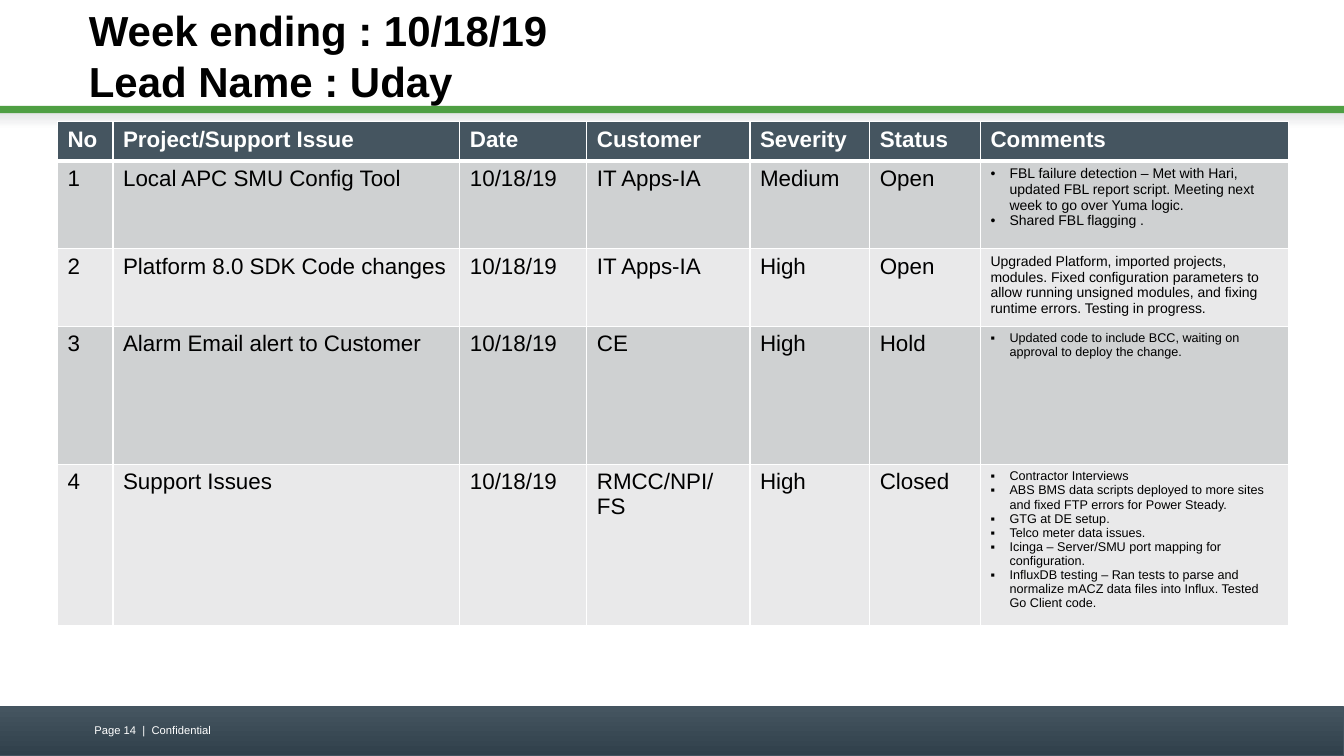
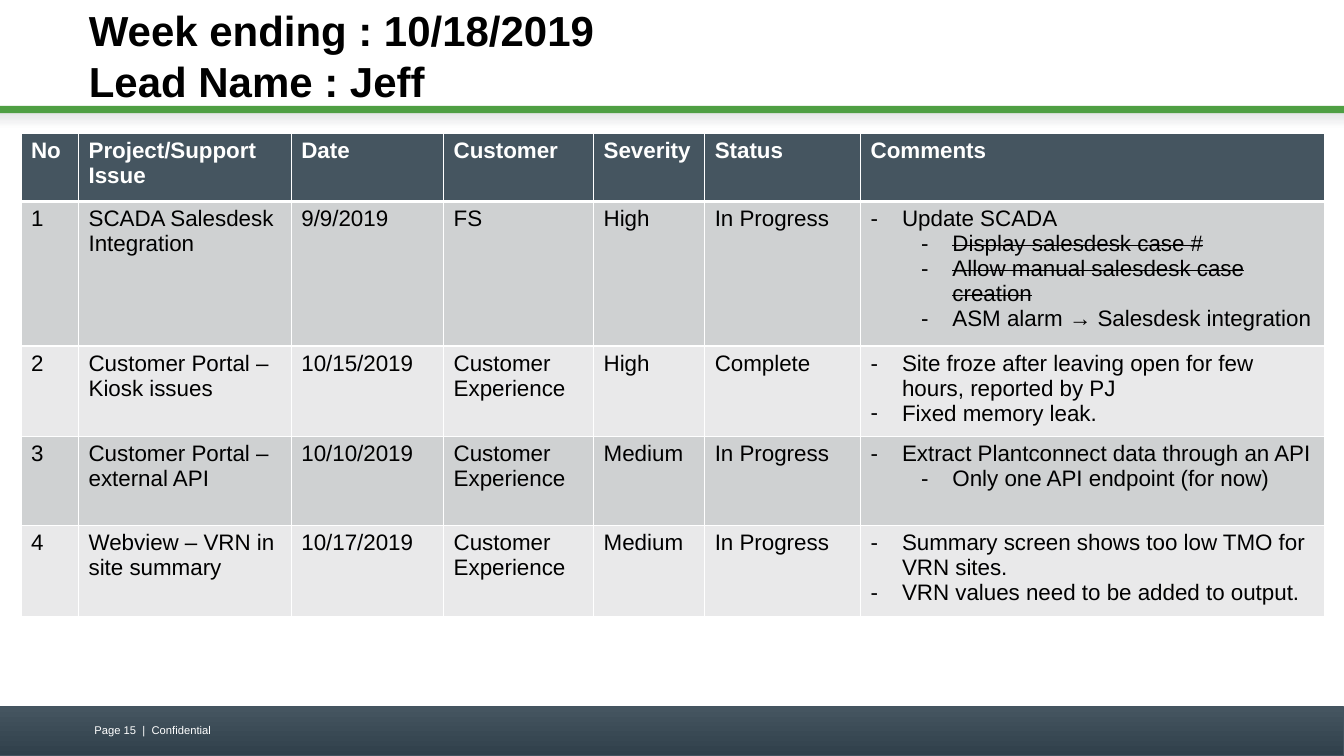
"""Builds two weekly status slides, each with a table of issues."""
import pptx
import pptx.chart.data
import pptx.dml.color
import pptx.enum.shapes
import pptx.enum.text
import pptx.oxml
import pptx.oxml.ns
import pptx.util
from lxml import etree

Cm, Pt = pptx.util.Cm, pptx.util.Pt
RGBColor = pptx.dml.color.RGBColor

WHITE = RGBColor(0xFF, 0xFF, 0xFF)
BLACK = RGBColor(0x00, 0x00, 0x00)
SLATE = RGBColor(0x45, 0x55, 0x60)
DARK = RGBColor(0x30, 0x40, 0x4B)
EDGE = RGBColor(0x43, 0x53, 0x5F)
GREEN = RGBColor(0x4F, 0x9F, 0x43)
SHADE = RGBColor(0xE4, 0xE5, 0xE6)
STRIPES = RGBColor(0xCF, 0xD1, 0xD2), RGBColor(0xE9, 0xE9, 0xEA)

FONT = "Arial"
WIDTH, HEIGHT = 33.87, 19.05
BODY = 16
HEADS = ["No", "Project/Support Issue", "Date", "Customer", "Severity",
         "Status", "Comments"]
STRUCK = {"Display salesdesk case #", "Allow manual salesdesk case creation"}

SLIDES = [
    {
        "title": "Week ending : 10/18/19\nLead Name : Uday",
        "page": 14,
        "at": (1.45, 3.07),
        "cols": [1.4, 8.74, 3.2, 4.11, 3.02, 2.79, 7.77],
        "rows": [0.99, 2.21, 1.91, 3.48, 3.48],
        "step": 0.48,
        "issues": [
            ("Local APC SMU Config Tool", "10/18/19", "IT Apps-IA", "Medium",
             "Open", "•", 10, [
                 (0, "FBL failure detection – Met with Hari, updated FBL "
                     "report script. Meeting next week to go over Yuma logic."),
                 (0, "Shared FBL flagging .")]),
            ("Platform 8.0 SDK Code changes", "10/18/19", "IT Apps-IA", "High",
             "Open", "", 10, [
                 (0, "Upgraded Platform, imported projects, modules. Fixed "
                     "configuration parameters to allow running unsigned "
                     "modules, and fixing runtime errors. Testing in "
                     "progress.")]),
            ("Alarm Email alert to Customer", "10/18/19", "CE", "High",
             "Hold", "▪", 9, [
                 (0, "Updated code to include BCC, waiting on approval to "
                     "deploy the change.")]),
            ("Support Issues", "10/18/19", "RMCC/NPI/FS", "High",
             "Closed", "▪", 9, [
                 (0, "Contractor Interviews"),
                 (0, "ABS BMS data scripts deployed to more sites and fixed "
                     "FTP errors for Power Steady."),
                 (0, "GTG at DE setup."),
                 (0, "Telco meter data issues."),
                 (0, "Icinga – Server/SMU port mapping for configuration."),
                 (0, "InfluxDB testing – Ran tests to parse and normalize "
                     "mACZ data files into Influx. Tested Go Client code.")]),
        ],
    },
    {
        "title": "Week ending : 10/18/2019\nLead Name : Jeff",
        "page": 15,
        "at": (0.53, 3.35),
        "cols": [1.45, 5.36, 3.84, 3.78, 2.8, 3.93, 11.68],
        "rows": [1.73, 3.35, 2.24, 2.24, 2.24],
        "step": 0.79,
        "issues": [
            ("SCADA Salesdesk Integration", "9/9/2019", "FS", "High",
             "In Progress", "-", BODY, [
                 (0, "Update SCADA"),
                 (1, "Display salesdesk case #"),
                 (1, "Allow manual salesdesk case creation"),
                 (1, "ASM alarm → Salesdesk integration")]),
            ("Customer Portal – Kiosk issues", "10/15/2019",
             "Customer Experience", "High", "Complete", "-", BODY, [
                 (0, "Site froze after leaving open for few hours, reported "
                     "by PJ"),
                 (0, "Fixed memory leak.")]),
            ("Customer Portal – external API", "10/10/2019",
             "Customer Experience", "Medium", "In Progress", "-", BODY, [
                 (0, "Extract Plantconnect data through an API"),
                 (1, "Only one API endpoint (for now)")]),
            ("Webview – VRN in site summary", "10/17/2019",
             "Customer Experience", "Medium", "In Progress", "-", BODY, [
                 (0, "Summary screen shows too low TMO for VRN sites."),
                 (0, "VRN values need to be added to output.")]),
        ],
    },
]


def style(para, size, color, bold=False):
    font = para.font
    font.name, font.size, font.bold = FONT, Pt(size), bold
    font.color.rgb = color


def band(slide, top, tall, colors, edge=None):
    shape = slide.shapes.add_shape(
        pptx.enum.shapes.MSO_SHAPE.RECTANGLE, 0, Cm(top), Cm(WIDTH), Cm(tall))
    shape.shadow.inherit = False
    if len(colors) == 1:
        shape.fill.solid()
        shape.fill.fore_color.rgb = colors[0]
    else:
        shape.fill.gradient()
        shape.fill.gradient_angle = 270
        for stop, color in zip(shape.fill.gradient_stops, colors):
            stop.color.rgb = color
    if edge is None:
        shape.line.fill.background()
    else:
        shape.line.color.rgb = edge
        shape.line.width = Pt(0.75)


def label(slide, box, text, size, color, bold=False):
    frame = slide.shapes.add_textbox(*map(Cm, box)).text_frame
    frame.word_wrap = True
    para = frame.paragraphs[0]
    para.text = text
    style(para, size, color, bold)
    return frame


def bullet(para, mark, level, step):
    props = para._p.get_or_add_pPr()
    indent = Cm(step)
    props.set("marL", str(indent + level * Cm(1.27)))
    props.set("indent", str(-indent))
    para.level = level
    for tag, key, value in (("buFont", "typeface", FONT),
                            ("buChar", "char", mark)):
        etree.SubElement(props, pptx.oxml.ns.qn("a:" + tag)).set(key, value)


def border(cell, row):
    props = cell._tc.get_or_add_tcPr()
    thick = {"T": 3 if row == 1 else 1, "B": 3 if row == 0 else 1}
    for side in "LRTB":
        line = etree.SubElement(props, pptx.oxml.ns.qn("a:ln" + side))
        line.set("w", str(Pt(thick.get(side, 1))))
        fill = etree.SubElement(line, pptx.oxml.ns.qn("a:solidFill"))
        color = etree.SubElement(fill, pptx.oxml.ns.qn("a:srgbClr"))
        color.set("val", str(WHITE))


def remark(cell, mark, size, lines, step):
    frame = cell.text_frame
    for num, (level, text) in enumerate(lines):
        para = frame.add_paragraph() if num else frame.paragraphs[0]
        run = para.add_run()
        run.text = text
        if text in STRUCK:
            run._r.get_or_add_rPr().set("strike", "sngStrike")
        if mark:
            bullet(para, mark, level, step)
        style(para, size, BLACK)


def grid(slide, data):
    cols, rows = data["cols"], data["rows"]
    left, top = data["at"]
    table = slide.shapes.add_table(
        len(rows), len(cols), Cm(left), Cm(top),
        Cm(sum(cols)), Cm(sum(rows))).table
    for col, wide in zip(table.columns, cols):
        col.width = Cm(wide)
    for row, tall in zip(table.rows, rows):
        row.height = Cm(tall)
    lines = [HEADS]
    for num, issue in enumerate(data["issues"], 1):
        lines.append([str(num), *issue[:5], issue[5:]])
    for row, items in enumerate(lines):
        for col, item in enumerate(items):
            cell = table.cell(row, col)
            border(cell, row)
            cell.fill.solid()
            cell.fill.fore_color.rgb = STRIPES[(row - 1) % 2] if row else SLATE
            if isinstance(item, tuple):
                remark(cell, *item, data["step"])
            else:
                para = cell.text_frame.paragraphs[0]
                para.text = item
                style(para, BODY, BLACK if row else WHITE, row == 0)


def build(deck, data):
    slide = deck.slides.add_slide(deck.slide_layouts[6])
    band(slide, 17.81, 1.24, [SLATE, DARK], EDGE)
    band(slide, 2.84, 0.41, [SHADE, WHITE])
    band(slide, 2.67, 0.18, [GREEN])
    title = label(slide, (2.24, 0.36, 28.78, 2.06), data["title"], 30,
                  BLACK, True)
    title.margin_left = title.margin_right = 0
    title.vertical_anchor = pptx.enum.text.MSO_ANCHOR.MIDDLE
    label(slide, (2.13, 18.11, 7.9, 0.66),
          f"Page {data['page']}  |  Confidential", 8, WHITE)
    grid(slide, data)


def main():
    deck = pptx.Presentation()
    deck.slide_width, deck.slide_height = Cm(WIDTH), Cm(HEIGHT)
    for data in SLIDES:
        build(deck, data)
    deck.save("out.pptx")


if __name__ == "__main__":
    main()
